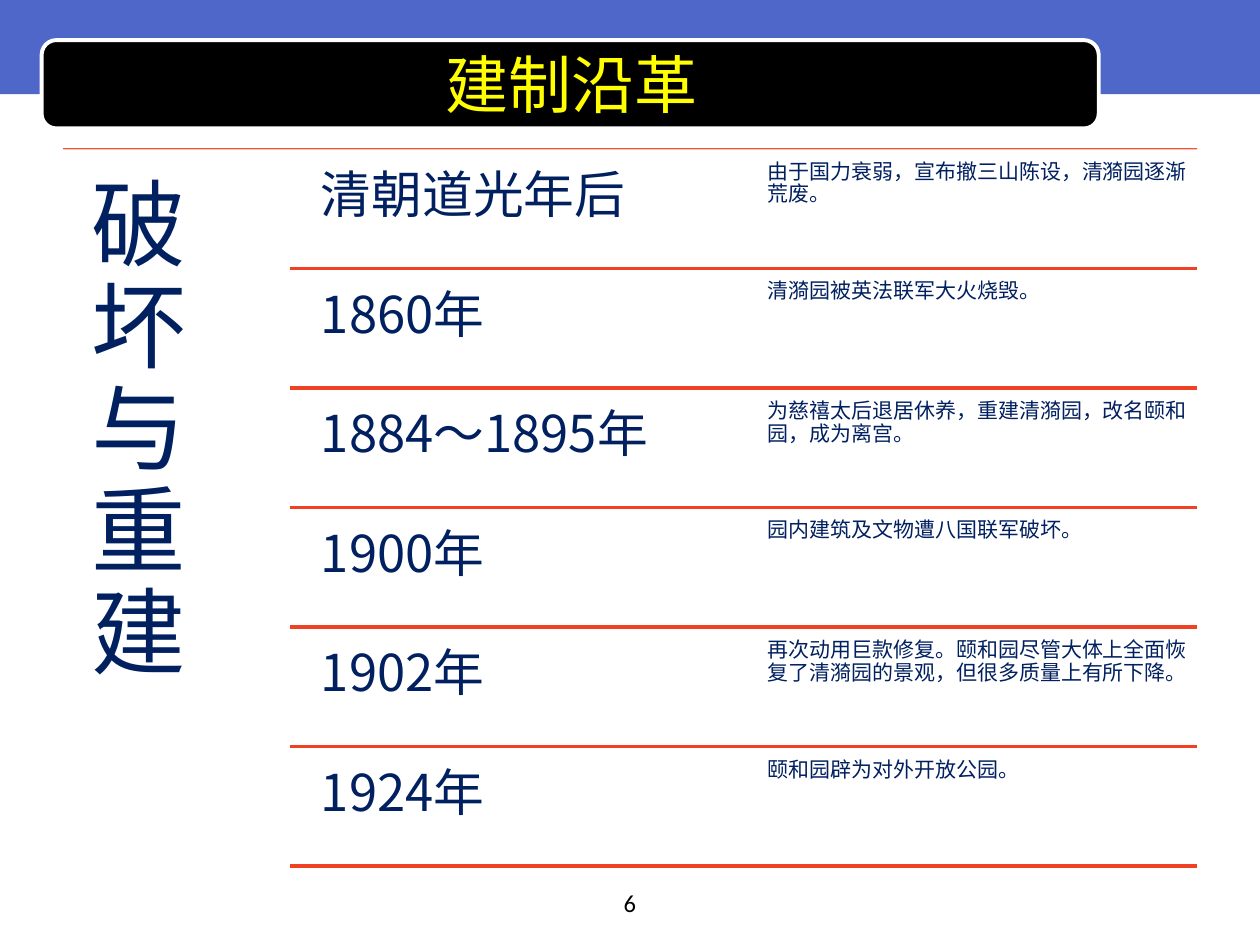
import pptx
import pptx.dml.color
import pptx.enum.shapes
import pptx.enum.text
import pptx.oxml.ns
import pptx.util
from lxml import etree

Cm = pptx.util.Cm
Pt = pptx.util.Pt
RGB = pptx.dml.color.RGBColor.from_string
KIND = pptx.enum.shapes.MSO_SHAPE
ALIGN = pptx.enum.text.PP_ALIGN
ANCHOR = pptx.enum.text.MSO_ANCHOR
qn = pptx.oxml.ns.qn

HUES = {"band": "4E67C8", "plate": "000000", "edge": "FFFFFF", "title": "FFFF00",
        "rule": "F14124", "ink": "002060", "page": "000000"}
SANS = "Noto Sans CJK SC"

deck = pptx.Presentation()
deck.slide_width, deck.slide_height = Cm(25.4), Cm(19.05)
slide = deck.slides.add_slide(deck.slide_layouts[6])
shapes = slide.shapes


def write(words, place, size, hue, inset=None, face=SANS, **style):
    box = shapes.add_textbox(*map(Cm, place))
    frame = box.text_frame
    form = {"word_wrap": True}
    if inset is not None:
        for side in ("left", "top", "right", "bottom"):
            form[f"margin_{side}"] = Cm(inset)
    if "anchor" in style:
        form["vertical_anchor"] = style.pop("anchor")
    for key, value in form.items():
        setattr(frame, key, value)
    para = frame.paragraphs[0]
    for key, value in style.items():
        setattr(para, key, value)
    run = para.add_run()
    run.text = words
    for key, value in {"size": Pt(size), "name": face}.items():
        setattr(run.font, key, value)
    run.font.color.rgb = RGB(HUES[hue])
    # East Asian typeface
    latin = run.font._element.find(qn("a:latin"))
    east = etree.Element(qn("a:ea"), typeface=SANS)
    latin.addnext(east)


def rule(left, top, width):
    line = shapes.add_connector(pptx.enum.shapes.MSO_CONNECTOR.STRAIGHT,
                                Cm(left), Cm(top), Cm(24.13), Cm(top))
    line.line.color.rgb = RGB(HUES["rule"])
    line.line.width = Pt(width)
    etree.SubElement(line._element.spPr, qn("a:effectLst"))
    return line


# Top band and title plate
band = shapes.add_shape(KIND.RECTANGLE, 0, 0, Cm(25.4), Cm(1.9))
plate = shapes.add_shape(KIND.ROUNDED_RECTANGLE, Cm(0.84), Cm(0.81), Cm(21.31), Cm(1.78))
for shape, hue in ((band, "band"), (plate, "plate")):
    shape.shadow.inherit = False
    shape.fill.solid()
    shape.fill.fore_color.rgb = RGB(HUES[hue])
band.line.fill.background()
plate.line.color.rgb = RGB(HUES["edge"])
plate.line.width = Pt(2.25)
write("建制沿革", (1.27, 0.89, 20.52, 1.57), 36, "title", face="Arial",
      anchor=ANCHOR.MIDDLE, alignment=ALIGN.CENTER)

# Heading column under a slightly clear rule
top = rule(1.27, 3, 0.75)
tint = top._element.spPr.find(".//" + qn("a:srgbClr"))
etree.SubElement(tint, qn("a:alpha"), val="90000")
write("破坏与重建", (1.27, 3, 4.57, 14.55), 54, "ink", 0.58, line_spacing=0.9)

# Timeline rows
events = (
    ("清朝道光年后", "由于国力衰弱，宣布撤三山陈设，清漪园逐渐荒废。"),
    ("1860年", "清漪园被英法联军大火烧毁。"),
    ("1884～1895年", "为慈禧太后退居休养，重建清漪园，改名颐和园，成为离宫。"),
    ("1900年", "园内建筑及文物遭八国联军破坏。"),
    ("1902年", "再次动用巨款修复。颐和园尽管大体上全面恢复了清漪园的景观，但很多质量上有所下降。"),
    ("1924年", "颐和园辟为对外开放公园。"),
)
STEP, TALL, WIDE = 2.41, 2.29, 8.79
for row, (year, event) in enumerate(events):
    y = 3.12 + row * STEP
    write(year, (6.17, y, WIDE, TALL), 29, "ink", 0.3, line_spacing=0.9)
    write(event, (15.34, y, WIDE, TALL), 12, "ink", 0.13, line_spacing=0.9)
    rule(5.84, y + TALL, 2)

# Page number
write("6", (9.73, 17.78, 5.93, 0.89), 14, "page", face="Calibri", alignment=ALIGN.CENTER)

deck.save("out.pptx")
